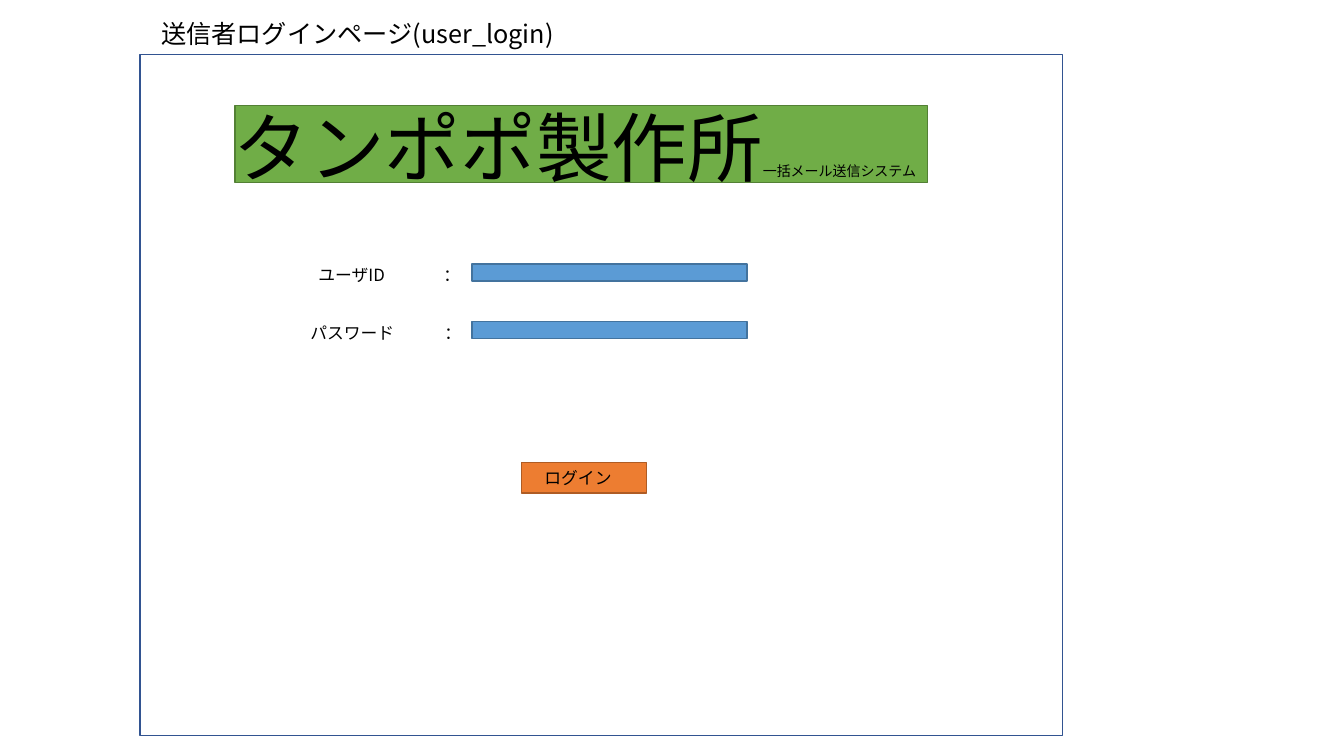
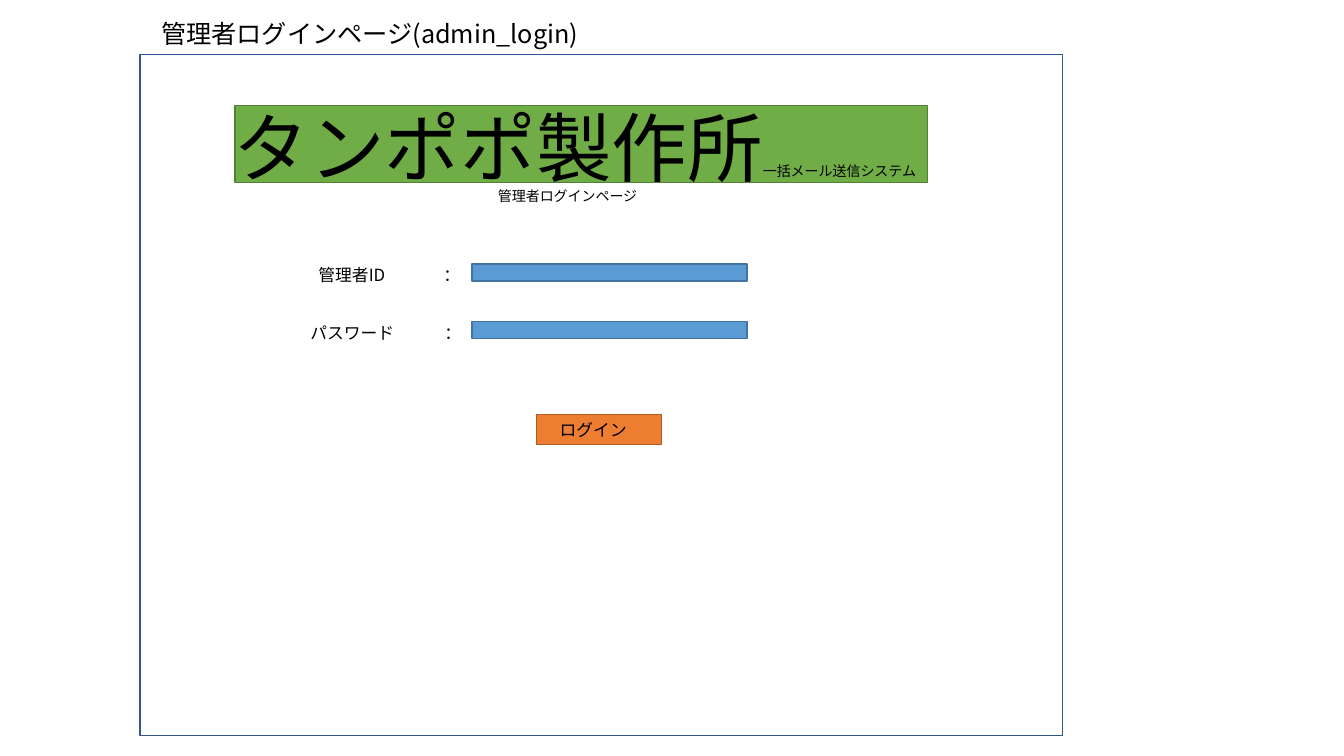
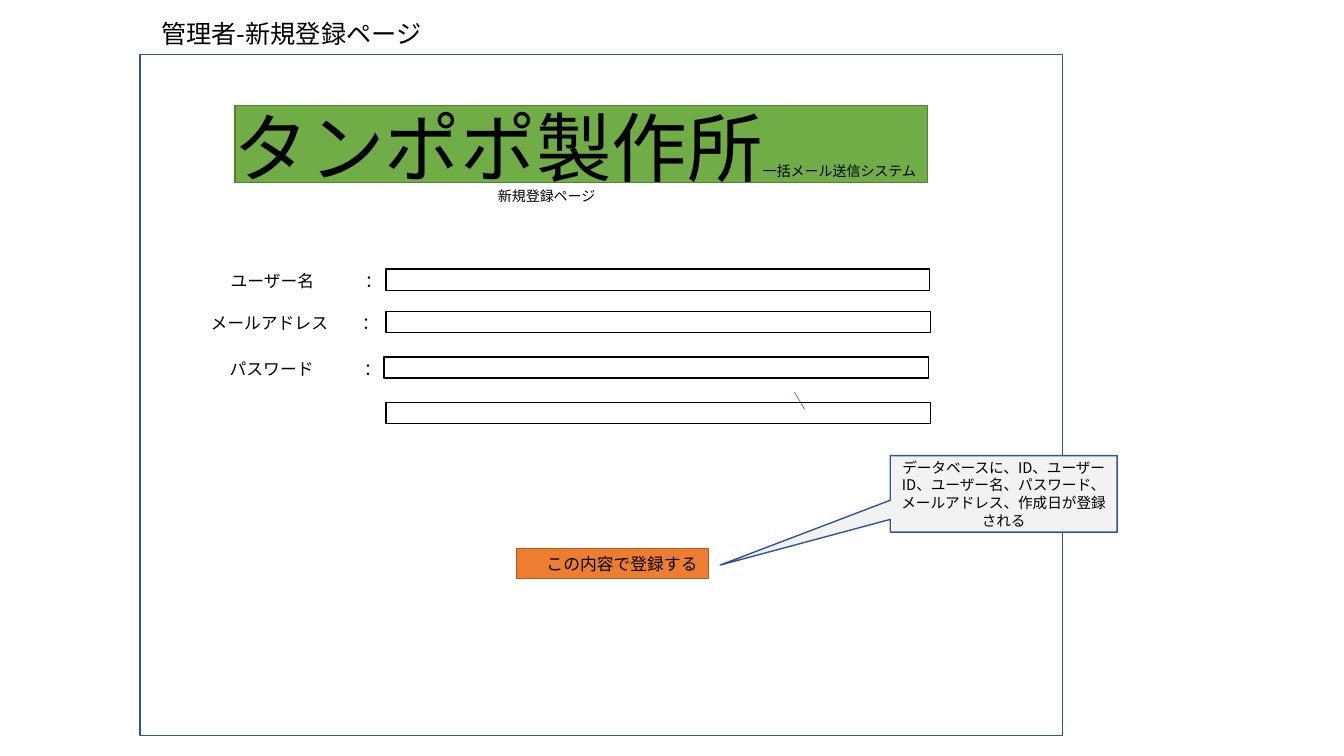
"""Build three wireframe slides of a bulk mail system: two logins and a registration form."""
from lxml import etree
from pptx import Presentation
from pptx.dml.color import RGBColor
from pptx.enum.shapes import MSO_CONNECTOR, MSO_SHAPE
from pptx.enum.text import MSO_ANCHOR, PP_ALIGN
from pptx.oxml.ns import qn
from pptx.util import Pt

RECT, CALLOUT = MSO_SHAPE.RECTANGLE, MSO_SHAPE.RECTANGULAR_CALLOUT
STRAIGHT = MSO_CONNECTOR.STRAIGHT
LEFT, CENTER = PP_ALIGN.LEFT, PP_ALIGN.CENTER
MIDDLE = MSO_ANCHOR.MIDDLE

BLACK = RGBColor(0x00, 0x00, 0x00)
NAVY = RGBColor(0x32, 0x54, 0x91)
BLUE = RGBColor(0x44, 0x72, 0xC4)
ORANGE = RGBColor(0xED, 0x7D, 0x31)
RUST = RGBColor(0xAF, 0x5C, 0x24)
SKY = RGBColor(0x5B, 0x9B, 0xD5)
STEEL = RGBColor(0x43, 0x73, 0x9E)
GREEN = RGBColor(0x70, 0xAD, 0x47)
FOREST = RGBColor(0x53, 0x80, 0x35)
PALE = RGBColor(0xF2, 0xF2, 0xF2)

FONT = "Noto Sans CJK JP"
EMU_PER_PX = 9144


def px(*lengths):
    return [length * EMU_PER_PX for length in lengths]


class Wireframe:
    def __init__(self):
        self.deck = Presentation()
        self.deck.slide_width, self.deck.slide_height = px(1333, 750)
        self.slide = None

    def page(self, title, title_width, subtitle=None):
        self.slide = self.deck.slides.add_slide(self.deck.slide_layouts[6])
        self.box(139, 54, 915, 676, line=NAVY)
        self.box(233, 105, 687, 76, GREEN, FOREST)
        self.text(210, 95, 720, 101, [("タンポポ製作所", 54), ("一括メール送信システム", 10)], align=CENTER)
        self.text(150, 13, title_width, 40, [(title, 18)])
        if subtitle:
            self.text(484, 181, 276, 27, [(subtitle, 10)])

    def box(self, x, y, width, height, fill=None, line=BLACK, kind=RECT):
        shape = self.slide.shapes.add_shape(kind, *px(x, y, width, height))
        shape.shadow.inherit = False
        if fill is None:
            shape.fill.background()
        else:
            shape.fill.solid()
            shape.fill.fore_color.rgb = fill
        shape.line.color.rgb = line
        shape.line.width = Pt(1)
        return shape

    def fill_text(self, frame, runs, align=LEFT, tab=None):
        frame.word_wrap = True
        paragraph = frame.paragraphs[0]
        paragraph.alignment = align
        paragraph.font.name = FONT
        paragraph.font.color.rgb = BLACK
        if len(runs) == 1:
            paragraph.font.size = Pt(runs[0][1])
        for words, size in runs:
            run = paragraph.add_run()
            run.text = words
            if len(runs) > 1:
                run.font.size = Pt(size)
        defaults = paragraph._p.pPr.find(qn("a:defRPr"))
        etree.SubElement(defaults, qn("a:ea"), typeface=FONT)
        if tab:
            stops = etree.Element(qn("a:tabLst"))
            etree.SubElement(stops, qn("a:tab"), pos=str(*px(tab)), algn="l")
            defaults.addprevious(stops)

    def text(self, x, y, width, height, runs, align=LEFT, tab=None):
        holder = self.slide.shapes.add_textbox(*px(x, y, width, height))
        self.fill_text(holder.text_frame, runs, align, tab)

    def label(self, x, y, words, colon):
        self.text(x, y, 194, 30, [(words + "\t：", 12)], tab=colon)

    def button(self, x, y, width, words, inset):
        frame = self.box(x, y, width, 30, ORANGE, RUST).text_frame
        frame.vertical_anchor = MIDDLE
        frame.margin_left, frame.margin_right = px(inset, 0)
        self.fill_text(frame, [(words, 12)])

    def callout(self, x, y, width, height, words, pointer):
        bubble = self.box(x, y, width, height, PALE, NAVY, CALLOUT)
        bubble.adjustments[0], bubble.adjustments[1] = pointer
        bubble.text_frame.vertical_anchor = MIDDLE
        self.fill_text(bubble.text_frame, [(words, 10.5)], CENTER)

    def stroke(self, x1, y1, x2, y2):
        stroke = self.slide.shapes.add_connector(STRAIGHT, *px(x1, y1, x2, y2))
        stroke.line.color.rgb = BLUE
        stroke.line.width = Pt(0.5)
        etree.SubElement(stroke._element.spPr, qn("a:effectLst"))

    def login(self, id_label, button_x, button_y):
        self.button(button_x, button_y, 124, "ログイン", 23)
        for x, y, words, colon in ((306, 258, id_label, 124), (298, 315, "パスワード", 133)):
            self.label(x, y, words, colon)
            self.box(468, y + 4, 273, 17, SKY, STEEL)


def main():
    frame = Wireframe()

    frame.page("送信者ログインページ(user_login)", 471)
    frame.login("ユーザID", 517, 459)

    frame.page("管理者ログインページ(admin_login)", 435, "管理者ログインページ")
    frame.login("管理者ID", 532, 411)

    frame.page("管理者-新規登録ページ", 422, "新規登録ページ")
    frame.button(512, 544, 191, "この内容で登録する", 30)
    frame.stroke(788, 389, 798, 406)
    for x, y, words, colon in (
        (219, 264, "ユーザー名", 133),
        (199, 305, "メールアドレス", 150),
        (218, 351, "パスワード", 133),
    ):
        frame.label(x, y, words, colon)
    for x, y, width in ((383, 267, 539), (383, 309, 540), (381, 354, 540), (383, 399, 540)):
        frame.box(x, y, width, 21)
    frame.callout(
        883, 452, 225, 76,
        "データベースに、ID、ユーザーID、ユーザー名、パスワード、メールアドレス、作成日が登録される",
        (-1.25, 0.93),
    )

    frame.deck.save("out.pptx")


if __name__ == "__main__":
    main()
